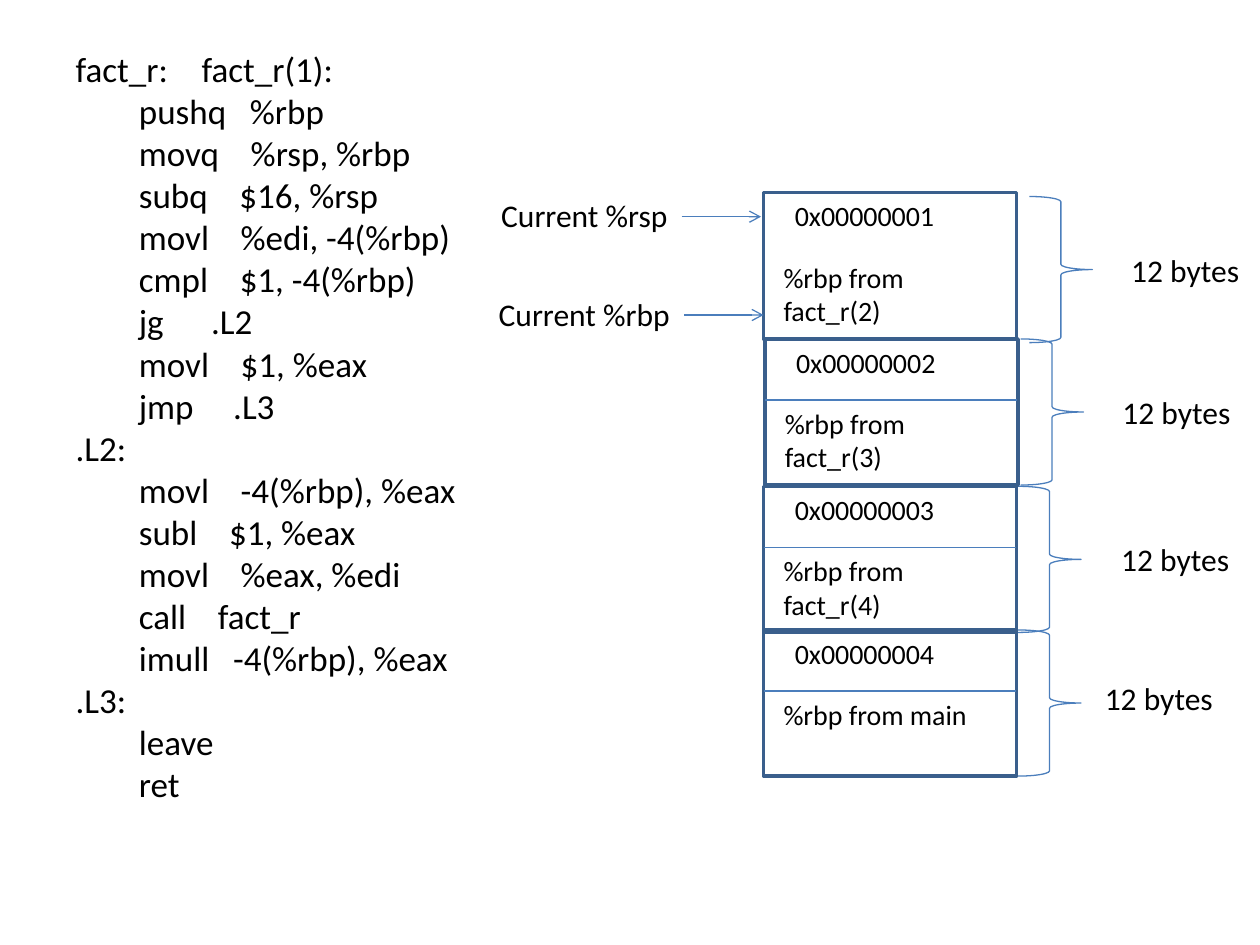
from lxml import etree
from pptx import Presentation
from pptx.dml.color import RGBColor
from pptx.enum.shapes import MSO_CONNECTOR, MSO_SHAPE
from pptx.enum.text import MSO_AUTO_SIZE
from pptx.oxml.ns import qn
from pptx.util import Inches, Pt

RECT, BRACE = MSO_SHAPE.RECTANGLE, MSO_SHAPE.RIGHT_BRACE
STRAIGHT = MSO_CONNECTOR.STRAIGHT
GROW, FIXED = MSO_AUTO_SIZE.SHAPE_TO_FIT_TEXT, MSO_AUTO_SIZE.NONE

THEME = {
    "font": "Calibri",
    "ink": RGBColor(0, 0, 0),
    "frame": RGBColor(0x3A, 0x5F, 0x8C),
    "rule": RGBColor(0x4B, 0x7E, 0xBC),
    "code": Pt(20),
    "label": Pt(18),
    "cell": Pt(16),
    "thick": Pt(2),
    "thin": Pt(0.75),
}

CODE = """fact_r:\tfact_r(1):
        pushq   %rbp
        movq    %rsp, %rbp
        subq    $16, %rsp
        movl    %edi, -4(%rbp)
        cmpl    $1, -4(%rbp)
        jg      .L2
        movl    $1, %eax
        jmp     .L3
.L2:
        movl    -4(%rbp), %eax
        subl    $1, %eax
        movl    %eax, %edi
        call    fact_r
        imull   -4(%rbp), %eax
.L3:
        leave
        ret"""

deck = Presentation()
deck.slide_width, deck.slide_height = Inches(10), Inches(7.5)
COL, ROW = deck.slide_width / 100, deck.slide_height / 75
slide = deck.slides.add_slide(deck.slide_layouts[1])
shapes = slide.shapes
title = shapes.title
title.element.getparent().remove(title.element)


def grid(*spots):
    return [int(v * (ROW if i % 2 else COL)) for i, v in enumerate(spots)]


def write(frame, text, size, fit, wrap=True):
    frame.text = text
    frame.word_wrap = wrap
    frame.auto_size = fit
    for para in frame.paragraphs:
        para.space_before = Pt(0)
        props = para._p.get_or_add_pPr()
        props.set("marL", "0")
        props.set("indent", "0")
        etree.SubElement(props, qn("a:buNone"))
        if "\t" in para.text:
            tabs = etree.SubElement(props, qn("a:tabLst"))
            etree.SubElement(tabs, qn("a:tab"), pos=str(int(40 * COL)), algn="l")
        para.font.name = THEME["font"]
        para.font.size = size
        para.font.color.rgb = THEME["ink"]


body = slide.placeholders[1]
body.left, body.top, body.width, body.height = grid(5, 3.3, 92.5, 63.3)
write(body.text_frame, CODE, THEME["code"], FIXED)

WIDE, TALL, SPLIT = 20.1, 11.6, 4.85
STACK = [
    (60.6, 50, "0x00000004", "%rbp from main", (80.8, 50), (86.7, 53.4)),
    (60.6, 38.6, "0x00000003", "%rbp from fact_r(4)", (80.8, 38.6), (88, 42.4)),
    (60.7, 26.9, "0x00000002", "%rbp from fact_r(3)", (81, 26.9), (88.1, 30.7)),
    (60.6, 15.3, "0x00000001", "%rbp from fact_r(2)", (81.7, 15.6), (88.8, 19.4)),
]
POINTS = [
    ("Current %rsp", 38.8, 15.1, 15.4, 54.1, 60.4),
    ("Current %rbp", 38.6, 22.9, 15.8, 54.3, 60.6),
]

rules = [(x, y + SPLIT, x + 20, y + SPLIT, False) for x, y, *rest in STACK[:3]]
rules += [(x, y + 2.1, end, y + 2.1, True) for text, left, y, w, x, end in POINTS]
texts = [(text, (x, y, w, 4), "label", False) for text, x, y, w, *rest in POINTS]

for x, y, value, saved, brace, size in STACK:
    for kind, spot, tint, width in (
        (RECT, (x, y, WIDE, TALL), "frame", "thick"),
        (BRACE, (*brace, 5, TALL), "rule", "thin"),
    ):
        shape = shapes.add_shape(kind, *grid(*spot))
        shape.shadow.inherit = False
        shape.fill.background()
        shape.line.color.rgb = THEME[tint]
        shape.line.width = THEME[width]
    deep = 3.7 if saved.endswith("main") else 6.4
    texts += [
        (value, (x + 1.5, y, 17.4, 3.7), "cell", True),
        (saved, (x + 0.6, y + SPLIT, 19.2, deep), "cell", True),
        ("12 bytes", (*size, 10.7, 4), "label", False),
    ]

for *ends, arrow in rules:
    rule = shapes.add_connector(STRAIGHT, *grid(*ends))
    rule.line.color.rgb = THEME["rule"]
    rule.line.width = THEME["thin"]
    if arrow:
        etree.SubElement(rule.line._get_or_add_ln(), qn("a:tailEnd"), type="arrow")
    etree.SubElement(rule._element.spPr, qn("a:effectLst"))

for text, spot, size, wrap in texts:
    box = shapes.add_textbox(*grid(*spot))
    write(box.text_frame, text, THEME[size], GROW, wrap)

deck.save("out.pptx")
